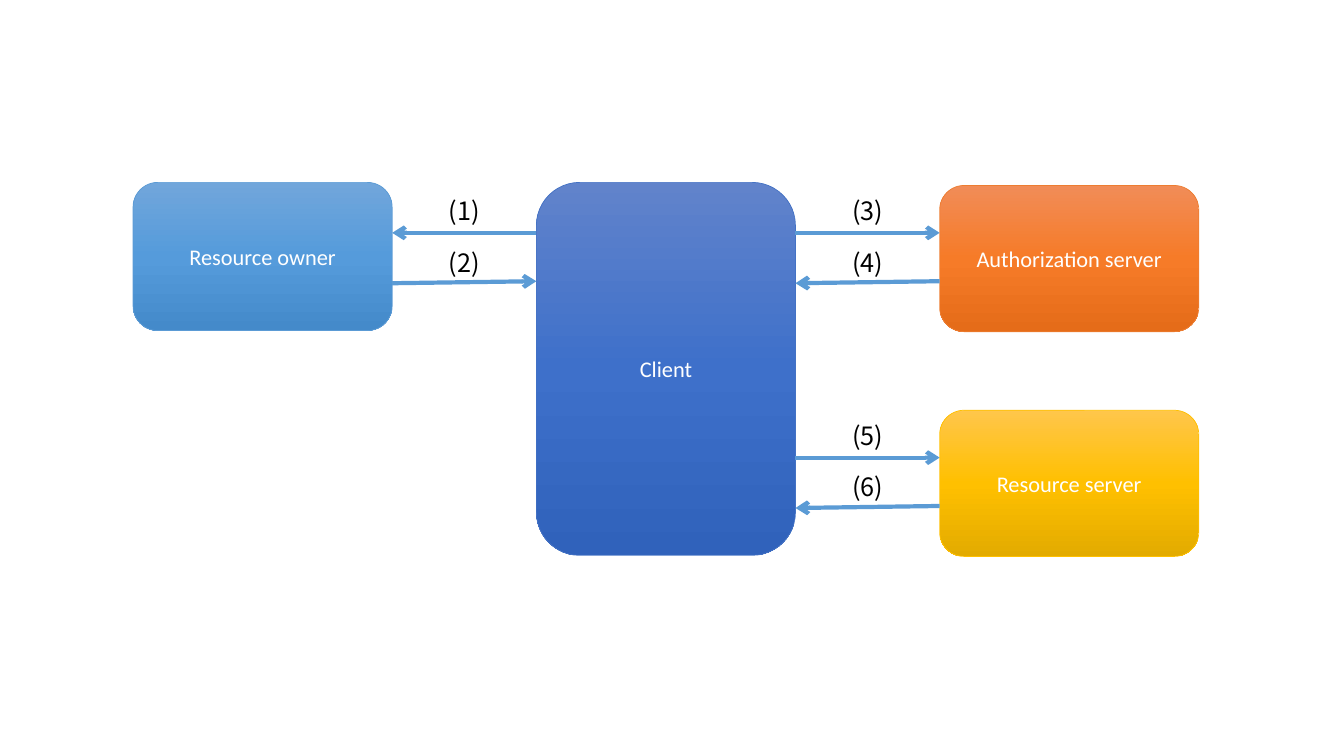
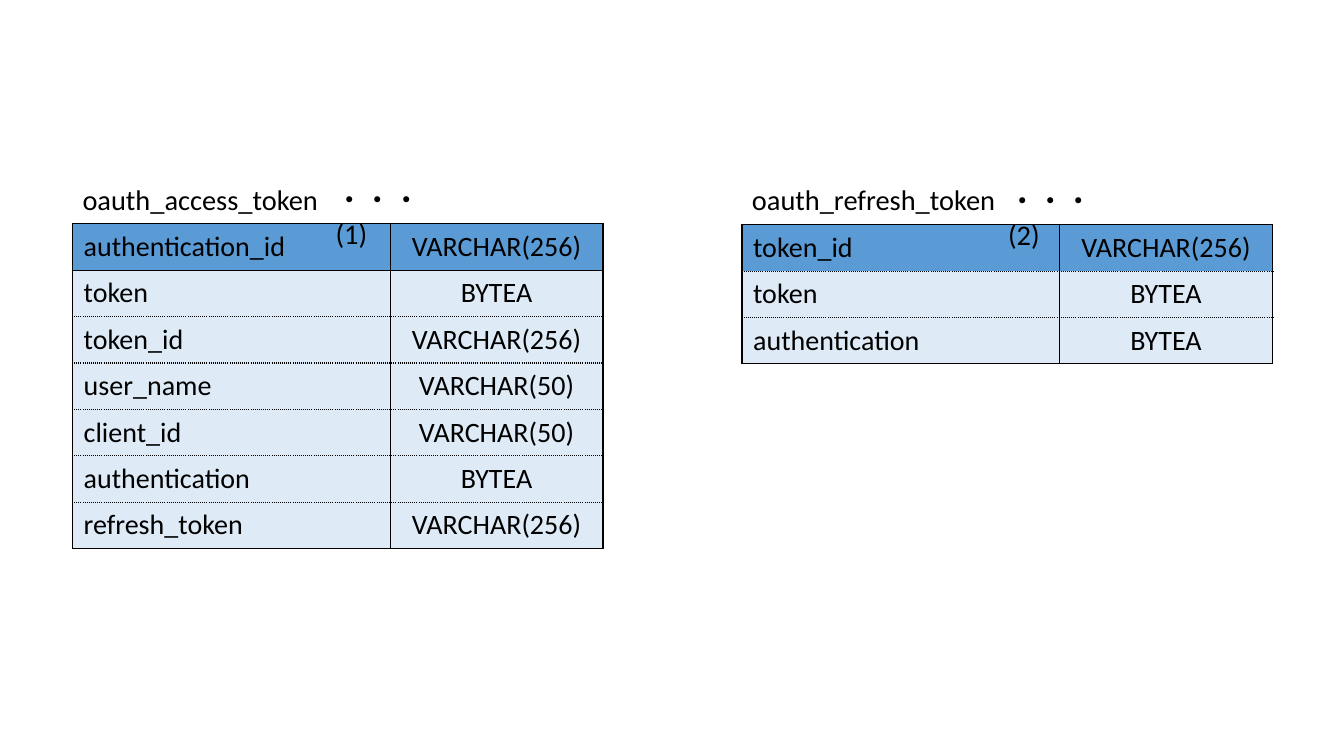
from copy import deepcopy
from itertools import product

from lxml.etree import SubElement
from pptx import Presentation
from pptx.dml.color import RGBColor
from pptx.enum.shapes import MSO_CONNECTOR, MSO_SHAPE
from pptx.enum.text import MSO_ANCHOR, PP_ALIGN
from pptx.oxml.ns import qn
from pptx.util import Inches, Pt

WHITE = RGBColor(0xFF, 0xFF, 0xFF)
BLACK = RGBColor(0x00, 0x00, 0x00)
BLUE = RGBColor(0x5B, 0x9B, 0xD5)
PALE = RGBColor(0xDE, 0xEB, 0xF7)
INDIGO = RGBColor(0x44, 0x72, 0xC4)
ORANGE = RGBColor(0xED, 0x7D, 0x31)
GOLD = RGBColor(0xFF, 0xC0, 0x00)
SHADES = {
    BLUE: ("71A6DB", "559BDB", "448ACA"),
    INDIGO: ("6183CB", "3E70CA", "3062BB"),
    ORANGE: ("F18C57", "F67B28", "E56C19"),
    GOLD: ("FFC64B", "FFC000", "E3AB00"),
}
LATIN, ASIAN = "Calibri", "Noto Sans CJK JP"
BOX = {"name": LATIN, "size": Pt(16)}
STEP = {"name": ASIAN, "size": Pt(18)}
NAME = {"name": LATIN, "size": Pt(20.3)}
CELL = {"name": LATIN, "size": Pt(20)}
PAD = {"margin_left": Inches(0.11), "margin_right": Inches(0.11),
       "margin_top": Inches(0.06), "margin_bottom": Inches(0.06)}
ROW = 0.46


def assign(item, style):
    """Set each attribute named in the style."""
    for key, value in style.items():
        setattr(item, key, value)


class Deck:
    """Holds the shared style and the current slide."""

    def __init__(self):
        """Start a wide, empty deck."""
        self.file = Presentation()
        assign(self.file, {"slide_width": Inches(13.33),
                           "slide_height": Inches(7.5)})
        self.slide = None

    def page(self):
        """Add a blank slide and make it current."""
        self.slide = self.file.slides.add_slide(self.file.slide_layouts[6])

    def label(self, frame, text, style, color=BLACK, align=PP_ALIGN.LEFT):
        """Put one styled paragraph into a text frame."""
        frame.word_wrap = True
        para = frame.paragraphs[0]
        para.alignment = align
        run = para.add_run()
        run.text = text
        assign(run.font, style)
        run.font.color.rgb = color
        SubElement(run.font._element, qn("a:ea"), typeface=ASIAN)

    def box(self, area, text, color):
        """Draw a rounded box with a three-stop gradient."""
        shape = self.slide.shapes.add_shape(
            MSO_SHAPE.ROUNDED_RECTANGLE, *map(Inches, area))
        shape.shadow.inherit = False
        shape.fill.gradient()
        shape.fill.gradient_angle = 270
        stops = shape._element.spPr.find(qn("a:gradFill")).find(qn("a:gsLst"))
        stops.append(deepcopy(stops[0]))
        for i, stop in enumerate(shape.fill.gradient_stops):
            stop.color.rgb = RGBColor.from_string(SHADES[color][i])
            stop.position = i / 2
        shape.line.color.rgb = color
        shape.line.width = Pt(0.5)
        shape.text_frame.vertical_anchor = MSO_ANCHOR.MIDDLE
        self.label(shape.text_frame, text, BOX, WHITE, PP_ALIGN.CENTER)

    def arrow(self, start, end):
        """Draw an arrow that points at its end."""
        link = self.slide.shapes.add_connector(
            MSO_CONNECTOR.STRAIGHT, *map(Inches, start + end))
        link.line.color.rgb = BLUE
        link.line.width = Pt(3)
        props = link._element.spPr
        SubElement(props.find(qn("a:ln")), qn("a:tailEnd"), type="arrow")
        SubElement(props, qn("a:effectLst"))

    def text(self, area, text, style, align=PP_ALIGN.LEFT):
        """Add a text box."""
        box = self.slide.shapes.add_textbox(*map(Inches, area))
        self.label(box.text_frame, text, style, align=align)

    def pair(self, left, top, first, out):
        """Draw two numbered arrows; out tells if the upper one goes right."""
        right = left + 1.43
        client, other = (left, right) if out else (right, left)
        start, end = (right, top + 0.48), (left, top + 0.5)
        self.arrow((client, top), (other, top))
        self.arrow(*((start, end) if out else (end, start)))
        for i in range(2):
            area = (left + 0.39, top - 0.42 + i * 0.51, 0.65, 0.4)
            self.text(area, f"({first + i})", STEP, PP_ALIGN.CENTER)

    def edge(self, cell, spot, side, dash):
        """Draw one cell border."""
        props = cell._tc.get_or_add_tcPr()
        line = SubElement(props, qn(f"a:ln{side}"), w=str(Pt(1)))
        fill = SubElement(line, qn("a:solidFill"))
        SubElement(fill, qn("a:srgbClr"), val=str(BLACK))
        SubElement(line, qn("a:prstDash"), val=dash)
        props.insert(spot, line)

    def table(self, left, top, rows, solid):
        """Add a column list; solid holds the rules drawn unbroken."""
        count = len(rows)
        frame = self.slide.shapes.add_table(
            count, 2, *map(Inches, (left, top, 5.26, count * ROW)))
        grid = frame.table
        for col, width in zip(grid.columns, (3.15, 2.11)):
            col.width = Inches(width)
        for row in grid.rows:
            row.height = Inches(ROW)
        for r, c in product(range(count), range(2)):
            cell = grid.cell(r, c)
            assign(cell, PAD)
            cell.fill.solid()
            cell.fill.fore_color.rgb = PALE if r else BLUE
            self.label(cell.text_frame, rows[r][c], CELL,
                       align=PP_ALIGN.CENTER if c else PP_ALIGN.LEFT)
            upper, lower = ("solid" if rule in solid else "sysDot"
                            for rule in (r, r + 1))
            for spot, (side, dash) in enumerate(
                    zip("LRTB", ("solid", "solid", upper, lower))):
                self.edge(cell, spot, side, dash)


def flow(deck):
    """Build the authorization flow."""
    deck.page()
    deck.box((1.32, 1.81, 2.57, 1.47), "Resource owner", BLUE)
    deck.box((5.32, 1.81, 2.57, 3.7), "Client", INDIGO)
    deck.box((9.32, 1.84, 2.57, 1.45), "Authorization server", ORANGE)
    deck.box((9.32, 4.07, 2.57, 1.45), "Resource server", GOLD)
    deck.pair(3.89, 2.31, 1, False)
    deck.pair(7.89, 2.31, 3, True)
    deck.pair(7.89, 4.54, 5, True)


def tokens(deck):
    """Build the two token tables."""
    long, short, raw = "VARCHAR(256)", "VARCHAR(50)", "BYTEA"
    access = [("authentication_id", long), ("token", raw),
              ("token_id", long), ("user_name", short),
              ("client_id", short), ("authentication", raw),
              ("refresh_token", long)]
    fresh = [("token_id", long), ("token", raw), ("authentication", raw)]
    deck.page()
    deck.table(0.72, 2.22, access, (0, 1, 7))
    deck.text((0.72, 1.76, 2.82, 0.44), "oauth_access_token", NAME)
    deck.text((3.23, 1.76, 1.27, 0.44), "・・・(1)", NAME)
    deck.table(7.36, 2.23, fresh, (0, 3))
    deck.text((7.36, 1.76, 2.71, 0.44), "oauth_refresh_token", NAME)
    deck.text((9.9, 1.77, 1.27, 0.44), "・・・(2)", NAME)


deck = Deck()
flow(deck)
tokens(deck)
deck.file.save("out.pptx")
